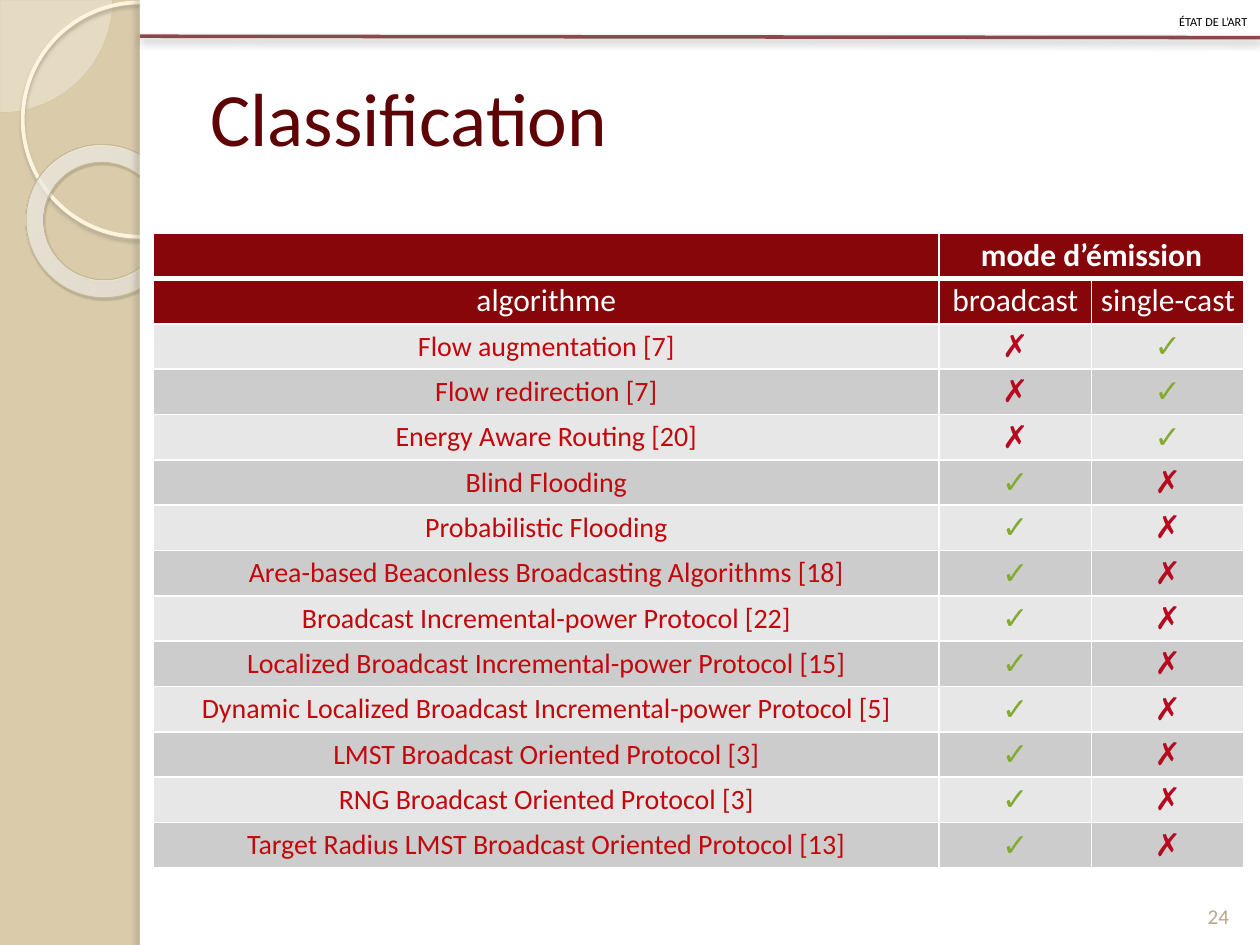
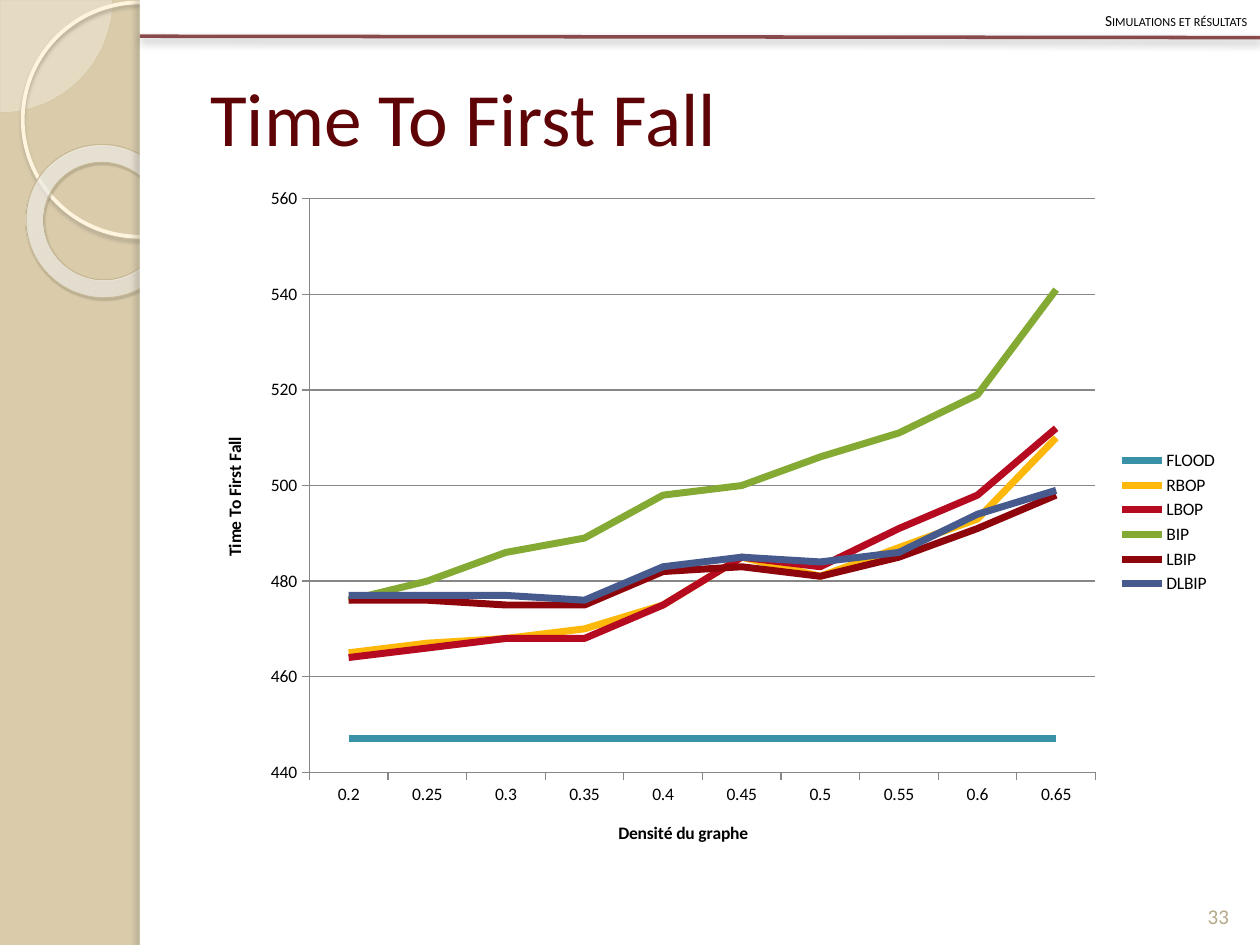
from lxml.etree import SubElement
from pptx import Presentation
from pptx.chart.data import CategoryChartData
from pptx.dml.color import RGBColor
from pptx.enum.chart import XL_CHART_TYPE, XL_LEGEND_POSITION, XL_TICK_MARK
from pptx.enum.shapes import MSO_CONNECTOR, MSO_SHAPE
from pptx.enum.text import MSO_ANCHOR, MSO_AUTO_SIZE, PP_ALIGN
from pptx.oxml.ns import qn
from pptx.util import Pt

WHITE = RGBColor(0xFF, 0xFF, 0xFF)
BLACK = RGBColor(0, 0, 0)
SAND = RGBColor(0xDA, 0xCC, 0xAB)
CREAM = RGBColor(0xFE, 0xFA, 0xF4)
TAN = RGBColor(0xD3, 0xC3, 0x9F)
IVORY = RGBColor(0xFF, 0xF5, 0xDE)
KHAKI = RGBColor(0xC7, 0xB8, 0x93)
TAUPE = RGBColor(0xB6, 0xA9, 0x8A)
MAROON = RGBColor(0x5F, 0x04, 0x06)
WINE = RGBColor(0x86, 0x06, 0x09)
SCARLET = RGBColor(0xC2, 0x08, 0x0C)
RED = RGBColor(0xB5, 0x0A, 0x20)
GREEN = RGBColor(0x84, 0xAA, 0x33)
TEAL = RGBColor(0x38, 0x91, 0xA7)
GOLD = RGBColor(0xFE, 0xB8, 0x0A)
BLOOD = RGBColor(0x8E, 0x06, 0x0B)
BLUE = RGBColor(0x47, 0x5A, 0x8D)
GREY = RGBColor(0x87, 0x87, 0x87)
LIGHT = RGBColor(0xE7, 0xE7, 0xE7)
MID = RGBColor(0xCC, 0xCC, 0xCC)

FONT = "Calibri"
PAGE = (0, 0, 720, 540)
YES, NO = "✓", "✗"
MARKS = {YES: GREEN, NO: RED}

SINGLE = ["Flow augmentation [7]", "Flow redirection [7]", "Energy Aware Routing [20]"]
BROAD = [
    "Blind Flooding",
    "Probabilistic Flooding",
    "Area-based Beaconless Broadcasting Algorithms [18]",
    "Broadcast Incremental-power Protocol [22]",
    "Localized Broadcast Incremental-power Protocol [15]",
    "Dynamic Localized Broadcast Incremental-power Protocol [5]",
    "LMST Broadcast Oriented Protocol [3]",
    "RNG Broadcast Oriented Protocol [3]",
    "Target Radius LMST Broadcast Oriented Protocol [13]",
]
ROWS = [(name, NO, YES) for name in SINGLE] + [(name, YES, NO) for name in BROAD]

CATS = ["0.2", "0.25", "0.3", "0.35", "0.4", "0.45", "0.5", "0.55", "0.6", "0.65"]
SERIES = [
    ("FLOOD", TEAL, [447] * 10),
    ("RBOP", GOLD, [465, 467, 468, 470, 475, 485, 481, 487, 493, 510]),
    ("LBOP", RED, [464, 466, 468, 468, 475, 485, 483, 491, 498, 512]),
    ("BIP", GREEN, [476, 480, 486, 489, 498, 500, 506, 511, 519, 541]),
    ("LBIP", BLOOD, [476, 476, 475, 475, 482, 483, 481, 485, 491, 498]),
    ("DLBIP", BLUE, [477, 477, 477, 476, 483, 485, 484, 486, 494, 499]),
]


def style(font, size, color, bold=False, face=FONT):
    font.size, font.bold, font.name = Pt(size), bold, face
    font.color.rgb = color


def write(frame, text, size=18, color=BLACK, bold=False, face=FONT,
          align=PP_ALIGN.CENTER, caps=False):
    para = frame.paragraphs[0]
    para.alignment = align
    run = para.add_run()
    run.text = text
    style(run.font, size, color, bold, face)
    if caps:
        run.font._element.set("cap", "small")
    return para


def place(shape, box):
    shape.left, shape.top, shape.width, shape.height = map(Pt, box)


def frame_of(shape, anchor):
    frame = shape.text_frame
    frame.word_wrap = True
    frame.auto_size = MSO_AUTO_SIZE.NONE
    frame.vertical_anchor = anchor
    return frame


def node(parent, tag, **attrs):
    return SubElement(parent, qn(tag), {k: str(v) for k, v in attrs.items()})


def tint(parent, color, alpha=100):
    part = node(parent, "a:srgbClr", val=color)
    if alpha < 100:
        node(part, "a:alpha", val=alpha * 1000)


def fade(root, alpha):
    for part in root.iter(qn("a:srgbClr")):
        node(part, "a:alpha", val=alpha * 1000)


def shade(shape, color, alpha, blur, dist, angle):
    props = shape._element.spPr
    list_ = props.find(qn("a:effectLst"))
    if list_ is None:
        list_ = node(props, "a:effectLst")
    drop = node(list_, "a:outerShdw", blurRad=Pt(blur), dist=Pt(dist),
                dir=angle * 60000, algn="ctr", rotWithShape=0)
    tint(drop, color, alpha)


def form(slide, kind, box, fill=None, line=None, width=1, alpha=100):
    shape = slide.shapes.add_shape(kind, *map(Pt, box))
    shape.shadow.inherit = False
    if fill is None:
        shape.fill.background()
    else:
        shape.fill.solid()
        shape.fill.fore_color.rgb = fill
        if alpha < 100:
            fade(shape._element.spPr, alpha)
    if line is None:
        shape.line.fill.background()
    else:
        shape.line.color.rgb = line
        shape.line.width = Pt(width)
    return shape


def glow(shape):
    blank = shape._element.spPr.find(qn("a:noFill"))
    grad = node(blank.getparent(), "a:gradFill", rotWithShape=1)
    stops = node(grad, "a:gsLst")
    for pos, color, alpha in [(0, "FFFCF6", 70), (70, "FFFEFB", 55), (100, "F0D28E", 60)]:
        tint(node(stops, "a:gs", pos=pos * 1000), color, alpha)
    way = node(grad, "a:path", path="circle")
    node(way, "a:fillToRect", l=-408000, t=-50000, r=508000, b=150000)
    blank.getparent().replace(blank, grad)


def decor(slide, box):
    x, y, w, h = box
    side = x + 79.9
    pie = form(slide, MSO_SHAPE.PIE, (x - 64.4, y - 64.4, 128.8, 128.8),
               CREAM, TAN, 0.25, alpha=33)
    pie.adjustments[0], pie.adjustments[1] = 0, 54.021
    ring = form(slide, MSO_SHAPE.OVAL, (x + 13, y + 1.4, 133.9, 133.9), line=IVORY, width=2.15)
    shade(ring, "B0A68F", 85, 2, 2, 90)
    donut = form(slide, MSO_SHAPE.DONUT, (x + 14.6, y + 82.8, 88.4, 87.1), line=KHAKI, width=0.58)
    donut.adjustments[0] = 0.118
    donut.rotation = 38.6
    glow(donut)
    shade(donut, "5A5444", 35, 1, 1.2, 75)
    sheet = form(slide, MSO_SHAPE.RECTANGLE, (side, y, x + w - side, h), WHITE)
    edge = form(slide, MSO_SHAPE.RECTANGLE, (side, y, 5.8, h), WHITE)
    shade(edge, "736F63", 25, 3, 3, 180)
    rule = slide.shapes.add_connector(
        MSO_CONNECTOR.STRAIGHT, Pt(side), Pt(y + 20.7), Pt(x + w), Pt(y + 21.5))
    rule.line.color.rgb = MAROON
    rule.line.width = Pt(2)
    fade(rule._element.spPr, 70)
    shade(rule, "000000", 43, 5, 2, 90)
    return [pie, ring, donut, sheet, edge, rule]


def theme(layout, slide):
    layout.background.fill.solid()
    layout.background.fill.fore_color.rgb = SAND
    tree = layout.shapes.element
    for holder in list(layout.placeholders)[2:]:
        tree.remove(holder.element)
    for spot, part in enumerate(decor(slide, PAGE), 2):
        tree.insert(spot, part.element)


def head(slide, box, title, part, number):
    x, y, w, h = box
    name = slide.shapes.title
    place(name, (x + 113, y + 21.6, 590.4, 90))
    write(frame_of(name, MSO_ANCHOR.MIDDLE), title, size=43, color=MAROON, align=PP_ALIGN.LEFT)
    body = slide.placeholders[1]
    place(body, (x, y, w, 20.9))
    para = write(frame_of(body, MSO_ANCHOR.MIDDLE), part, size=8.8,
                 align=PP_ALIGN.RIGHT, caps=True)
    para.line_spacing, para.space_before = 1.2, Pt(6)
    props = para._p.get_or_add_pPr()
    props.set("marL", "0")
    props.set("indent", "0")
    node(props, "a:buNone")
    foot = slide.shapes.add_textbox(*map(Pt, (x + w - 41.8, y + h - 43.2, 36, 37.4)))
    write(frame_of(foot, MSO_ANCHOR.BOTTOM), number, size=12, color=TAUPE)


def paint(cell, fill, top=1, base=1):
    props = cell._tc.get_or_add_tcPr()
    for tag, width in [("L", 1), ("R", 1), ("T", top), ("B", base)]:
        line = node(props, "a:ln" + tag, w=Pt(width))
        tint(node(line, "a:solidFill"), WHITE)
    cell.fill.solid()
    cell.fill.fore_color.rgb = fill
    cell.margin_left = cell.margin_right = cell.margin_top = cell.margin_bottom = 0
    cell.vertical_anchor = MSO_ANCHOR.MIDDLE


def matrix(slide, box):
    rows = [("", "mode d’émission", ""), ("algorithme", "broadcast", "single-cast")] + ROWS
    table = slide.shapes.add_table(len(rows), 3, *map(Pt, box)).table
    for col, width in zip(table.columns, (448.8, 87.2, 87.2)):
        col.width = Pt(width)
    for r, row in enumerate(rows):
        table.rows[r].height = Pt(box[3] / len(rows))
        for c, text in enumerate(row):
            cell = table.cell(r, c)
            fill = WINE if r < 2 else (LIGHT, MID)[r % 2]
            paint(cell, fill, top=3 if r == 1 else 1, base=3 if r == 0 else 1)
            if not text:
                continue
            if r < 2:
                look = dict(color=WHITE, bold=r == 0)
            elif c:
                look = dict(color=MARKS[text], face="Arial")
            else:
                look = dict(size=16, color=SCARLET)
            write(cell.text_frame, text, **look)
    table.cell(0, 1).merge(table.cell(0, 2))


def graph(slide, box):
    data = CategoryChartData()
    data.categories = CATS
    for name, _, vals in SERIES:
        data.add_series(name, vals)
    chart = slide.shapes.add_chart(XL_CHART_TYPE.LINE, *map(Pt, box), data).chart
    style(chart.font, 10, BLACK)
    chart.has_title = False
    chart.has_legend = True
    chart.legend.position = XL_LEGEND_POSITION.RIGHT
    chart.legend.include_in_layout = False
    chart.plots[0].vary_by_categories = False
    for line, (_, color, _) in zip(chart.plots[0].series, SERIES):
        line.smooth = False
        line.format.line.color.rgb = color
        line.format.line.width = Pt(4)
    axes = [(chart.category_axis, "Densité du graphe"), (chart.value_axis, "Time To First Fall")]
    for axis, text in axes:
        write(axis.axis_title.text_frame, text, size=10, bold=True)
        axis.major_tick_mark = XL_TICK_MARK.OUTSIDE
        axis.minor_tick_mark = XL_TICK_MARK.NONE
        axis.format.line.color.rgb = GREY
    scale = chart.value_axis
    scale.minimum_scale, scale.maximum_scale, scale.major_unit = 440, 560, 20
    scale.major_gridlines.format.line.color.rgb = GREY


def main():
    deck = Presentation()
    deck.slide_width, deck.slide_height = Pt(PAGE[2]), Pt(PAGE[3])
    layout = deck.slide_layouts[1]
    first, second = [deck.slides.add_slide(layout) for _ in range(2)]
    theme(layout, first)
    head(first, PAGE, "Classification", "état de l’art", "24")
    matrix(first, (87.8, 133.2, 623.2, 362.9))
    head(second, PAGE, "Time To First Fall", "Simulations et résultats", "33")
    graph(second, (113, 100.1, 590.4, 396.7))
    deck.save("out.pptx")


if __name__ == "__main__":
    main()
